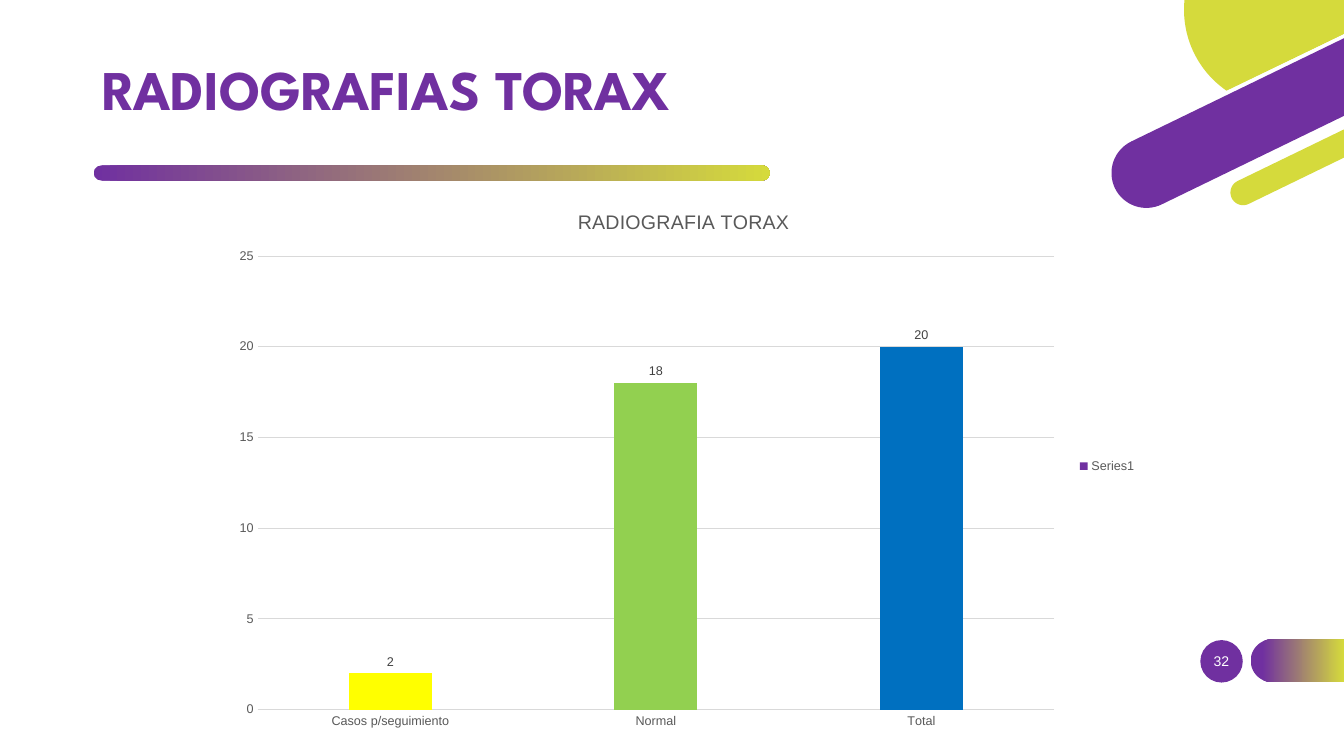
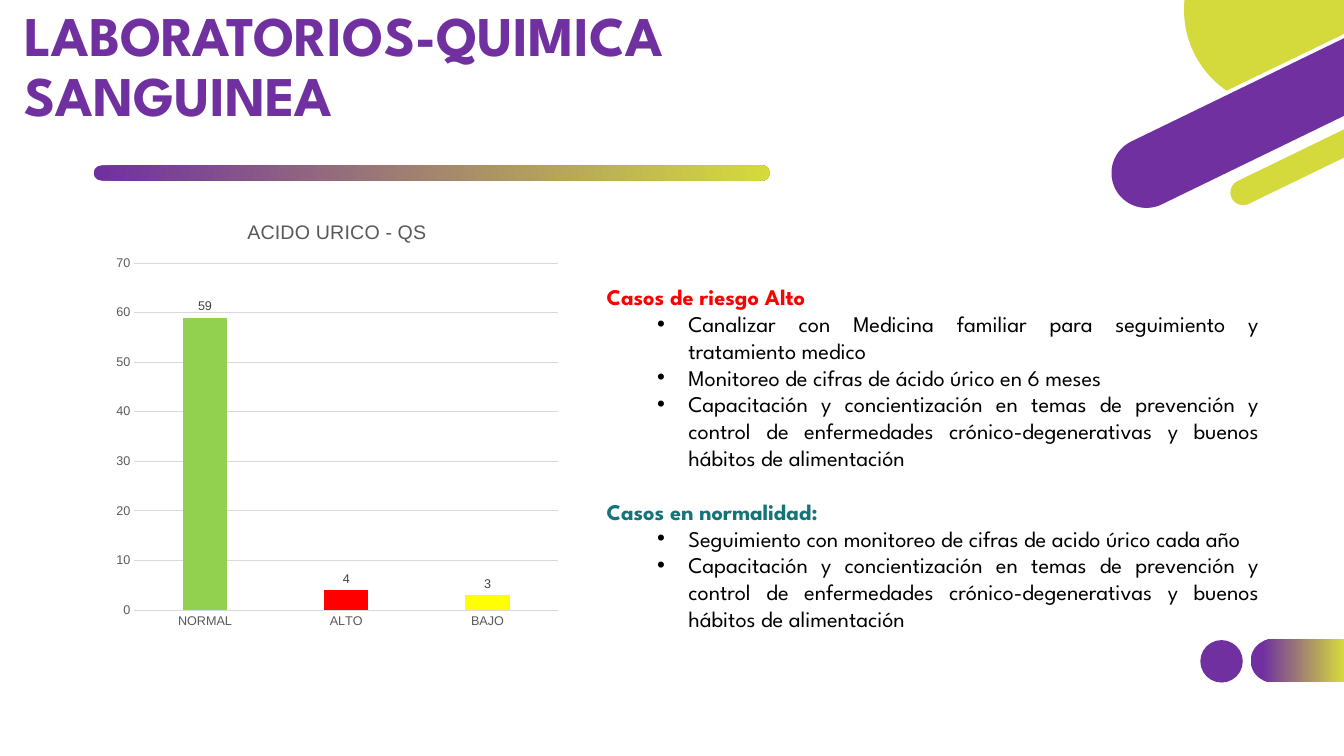
from dataclasses import dataclass
from math import cos, radians, sin, tan

from lxml.etree import SubElement
from pptx import Presentation
from pptx.chart.chart import Chart
from pptx.chart.data import CategoryChartData
from pptx.dml.color import RGBColor
from pptx.dml.fill import FillFormat
from pptx.enum.chart import XL_CHART_TYPE, XL_LABEL_POSITION, XL_LEGEND_POSITION, XL_TICK_MARK
from pptx.enum.shapes import MSO_SHAPE
from pptx.enum.text import MSO_ANCHOR, PP_ALIGN
from pptx.oxml.ns import qn
from pptx.shapes.autoshape import Shape
from pptx.slide import Slide
from pptx.text.text import Font, TextFrame, _Paragraph
from pptx.util import Cm, Pt

PURPLE, LIME, WHITE, BLACK = "7030A0", "D5DA3C", "FFFFFF", "000000"
GREEN, RED, YELLOW, BLUE, TEAL = "92D050", "FF0000", "FFFF00", "0070C0", "167479"
GRID, AXIS_TEXT, LABEL_TEXT = "D9D9D9", "595959", "404040"
HEADING_FONT, CHART_FONT = "League Spartan", "Arial"
SLIDE_WIDTH, SLIDE_HEIGHT = 33.87, 19.05
TILT = -25.9
ARC_STEPS = 32

Point = tuple[float, float]


@dataclass
class Box:
    left: float
    top: float
    width: float
    height: float

    def lengths(self) -> tuple[Cm, Cm, Cm, Cm]:
        return Cm(self.left), Cm(self.top), Cm(self.width), Cm(self.height)


@dataclass
class Band:
    """A bar with a round left end that runs to the right edge of the slide."""
    centre: Point
    radius: float
    colour: str
    tilt: float = TILT


@dataclass
class Bar:
    category: str
    value: int
    colour: str


@dataclass
class BarChart:
    title: str
    box: Box
    plot: Box
    series: str
    series_colour: str
    bars: list[Bar]
    axis_top: int
    axis_step: int
    legend: bool = False


@dataclass
class Advice:
    heading: str
    colour: str
    actions: list[str]


WIDE_END, NARROW_END = (28.89, 4.36), (31.33, 4.85)
CORNER_BANDS = [
    Band(WIDE_END, 0.97, WHITE),
    Band(WIDE_END, 0.88, PURPLE),
    Band(NARROW_END, 0.41, WHITE),
    Band(NARROW_END, 0.32, LIME),
]
PAGE_BAND = Band((32.06, 16.65), 0.54, PURPLE, tilt=0)

XRAY_CHART = BarChart(
    "RADIOGRAFIA TORAX", Box(5.56, 4.78, 23.34, 13.94), Box(0.04, 0.12, 0.86, 0.82),
    "Series1", PURPLE,
    [Bar("Casos p/seguimiento", 2, YELLOW), Bar("Normal", 18, GREEN), Bar("Total", 20, BLUE)],
    axis_top=25, axis_step=5, legend=True)

URIC_ACID_CHART = BarChart(
    "ACIDO URICO - QS", Box(2.69, 5.08, 11.61, 11.07), Box(0.06, 0.14, 0.92, 0.79),
    "Series 1", RED,
    [Bar("NORMAL", 59, GREEN), Bar("ALTO", 4, RED), Bar("BAJO", 3, YELLOW)],
    axis_top=70, axis_step=10)

TRAINING = ("Capacitación y concientización en temas de prevención y control de "
            "enfermedades crónico-degenerativas y buenos hábitos de alimentación")
ADVICE = [
    Advice("Casos de riesgo Alto", RED, [
        "Canalizar con Medicina familiar para seguimiento y tratamiento medico",
        "Monitoreo de cifras de ácido úrico en 6 meses",
        TRAINING]),
    Advice("Casos en normalidad:", TEAL, [
        "Seguimiento con monitoreo de cifras de acido úrico cada año",
        TRAINING]),
]


def rgb(colour: str) -> RGBColor:
    return RGBColor.from_string(colour)


def paint(fill: FillFormat, colour: str) -> None:
    fill.solid()
    fill.fore_color.rgb = rgb(colour)


def paint_gradient(fill: FillFormat, start: float) -> None:
    fill.gradient()
    fill.gradient_angle = 0
    for stop, position, colour in zip(fill.gradient_stops, (start, 1), (PURPLE, LIME)):
        stop.position = position
        stop.color.rgb = rgb(colour)


def style(font: Font, name: str, size: float, colour: str, bold: bool = False) -> None:
    font.name, font.size, font.bold = name, Pt(size), bold
    font.color.rgb = rgb(colour)


def add_text_box(slide: Slide, box: Box, anchor: MSO_ANCHOR = MSO_ANCHOR.TOP) -> TextFrame:
    frame = slide.shapes.add_textbox(*box.lengths()).text_frame
    frame.word_wrap = True
    frame.vertical_anchor = anchor
    return frame


# Decoration
def arc(centre: Point, radius: float, start: float, end: float) -> list[Point]:
    angles = [radians(start + (end - start) * i / ARC_STEPS) for i in range(ARC_STEPS + 1)]
    return [(centre[0] + radius * cos(a), centre[1] + radius * sin(a)) for a in angles]


def make_flat(shape: Shape) -> Shape:
    shape.shadow.inherit = False
    shape.line.fill.background()
    return shape


def add_outline(slide: Slide, points: list[Point], colour: str) -> Shape:
    start, *others = [(Cm(x), Cm(y)) for x, y in points]
    builder = slide.shapes.build_freeform(*start)
    builder.add_line_segments(others, close=True)
    shape = make_flat(builder.convert_to_shape())
    paint(shape.fill, colour)
    return shape


def add_band(slide: Slide, band: Band) -> Shape:
    cap = arc(band.centre, band.radius, band.tilt - 90, band.tilt - 270)
    slope = tan(radians(band.tilt))
    edge = [(SLIDE_WIDTH, y + (SLIDE_WIDTH - x) * slope) for x, y in (cap[-1], cap[0])]
    return add_outline(slide, cap + edge, band.colour)


def add_decoration(slide: Slide) -> None:
    page_dot = make_flat(slide.shapes.add_shape(
        MSO_SHAPE.OVAL, *Box(30.25, 16.13, 1.07, 1.07).lengths()))
    paint(page_dot.fill, PURPLE)
    paint_gradient(add_band(slide, PAGE_BAND).fill, 0.12)

    circle_edge = arc((32.31, 0.25), 2.47, 185.8, 124.5)
    corner = [(SLIDE_WIDTH, 0.86), (SLIDE_WIDTH, 0)]
    add_outline(slide, circle_edge + corner, LIME)
    for band in CORNER_BANDS:
        add_band(slide, band)

    underline = make_flat(slide.shapes.add_shape(
        MSO_SHAPE.ROUNDED_RECTANGLE, *Box(2.36, 4.17, 17.04, 0.38).lengths()))
    underline.adjustments[0] = 0.5
    paint_gradient(underline.fill, 0)


def add_base_slide(prs: Presentation, title: str, title_box: Box) -> Slide:
    slide = prs.slides.add_slide(prs.slide_layouts[6])
    add_decoration(slide)
    heading = add_text_box(slide, title_box, MSO_ANCHOR.MIDDLE).paragraphs[0]
    heading.text = title
    heading.line_spacing = 0.9
    style(heading.font, HEADING_FONT, 40, PURPLE, bold=True)
    return slide


def add_page_number(slide: Slide, number: str) -> None:
    page = add_text_box(slide, Box(30.02, 16.15, 1.52, 1.02), MSO_ANCHOR.MIDDLE).paragraphs[0]
    page.text = number
    page.alignment = PP_ALIGN.CENTER
    style(page.font, CHART_FONT, 10, WHITE)


# Charts
def place_plot(chart: Chart, area: Box) -> None:
    plot_area = chart.element.find(".//" + qn("c:plotArea"))
    for layout in plot_area.findall(qn("c:layout")):
        plot_area.remove(layout)
    layout = SubElement(plot_area, qn("c:layout"))
    plot_area.insert(0, layout)
    manual = SubElement(layout, qn("c:manualLayout"))
    settings = {"layoutTarget": "inner", "xMode": "edge", "yMode": "edge",
                "x": area.left, "y": area.top, "w": area.width, "h": area.height}
    for tag, value in settings.items():
        SubElement(manual, qn(f"c:{tag}")).set("val", str(value))


def add_bar_chart(slide: Slide, content: BarChart) -> None:
    data = CategoryChartData()
    data.categories = [bar.category for bar in content.bars]
    data.add_series(content.series, [bar.value for bar in content.bars])
    chart = slide.shapes.add_chart(
        XL_CHART_TYPE.COLUMN_CLUSTERED, *content.box.lengths(), data).chart
    style(chart.font, CHART_FONT, 10, BLACK)
    chart.has_title = True
    title = chart.chart_title.text_frame.paragraphs[0]
    title.text = content.title
    style(title.font, CHART_FONT, 14, AXIS_TEXT)
    place_plot(chart, content.plot)

    chart.has_legend = content.legend
    if content.legend:
        chart.legend.position = XL_LEGEND_POSITION.RIGHT
        chart.legend.include_in_layout = False
        style(chart.legend.font, CHART_FONT, 9, AXIS_TEXT)

    categories, values = chart.category_axis, chart.value_axis
    for axis in (categories, values):
        axis.major_tick_mark = axis.minor_tick_mark = XL_TICK_MARK.NONE
        style(axis.tick_labels.font, CHART_FONT, 9, AXIS_TEXT)
    values.minimum_scale, values.maximum_scale = 0, content.axis_top
    values.major_unit = content.axis_step
    values.format.line.fill.background()
    for line in (categories.format.line, values.major_gridlines.format.line):
        paint(line.fill, GRID)
        line.width = Pt(0.75)

    plot = chart.plots[0]
    plot.gap_width, plot.overlap, plot.vary_by_categories = 219, -27, False
    plot.has_data_labels = True
    plot.data_labels.show_value = True
    plot.data_labels.position = XL_LABEL_POSITION.OUTSIDE_END
    style(plot.data_labels.font, CHART_FONT, 9, LABEL_TEXT)
    series = plot.series[0]
    paint(series.format.fill, content.series_colour)
    for i, bar in enumerate(content.bars):
        paint(series.points[i].format.fill, bar.colour)


# Advice
def add_bullet(paragraph: _Paragraph) -> None:
    properties = paragraph._p.get_or_add_pPr()
    properties.set("marL", str(Cm(2.06)))
    properties.set("indent", str(Cm(-0.79)))
    SubElement(properties, qn("a:buFont")).set("typeface", CHART_FONT)
    SubElement(properties, qn("a:buChar")).set("char", "•")


def add_advice(slide: Slide, groups: list[Advice]) -> None:
    frame = add_text_box(slide, Box(15.04, 7.01, 16.94, 9.14))
    for i, group in enumerate(groups):
        heading = frame.add_paragraph() if i else frame.paragraphs[0]
        heading.text = group.heading
        if i:
            heading.space_before = Pt(19)
        style(heading.font, HEADING_FONT, 16, group.colour, bold=True)
        for action in group.actions:
            item = frame.add_paragraph()
            item.text = action
            item.level = 1
            item.alignment = PP_ALIGN.JUSTIFY
            add_bullet(item)
            style(item.font, HEADING_FONT, 16, BLACK)


def main() -> None:
    prs = Presentation()
    prs.slide_width, prs.slide_height = Cm(SLIDE_WIDTH), Cm(SLIDE_HEIGHT)

    xray = add_base_slide(prs, "RADIOGRAFIAS TORAX", Box(2.34, 1.02, 25.15, 2.62))
    add_page_number(xray, "32")
    add_bar_chart(xray, XRAY_CHART)

    blood = add_base_slide(prs, "LABORATORIOS-QUIMICA SANGUINEA", Box(0.36, 0.03, 23.14, 3.38))
    add_advice(blood, ADVICE)
    add_bar_chart(blood, URIC_ACID_CHART)

    prs.save("out.pptx")


if __name__ == "__main__":
    main()
